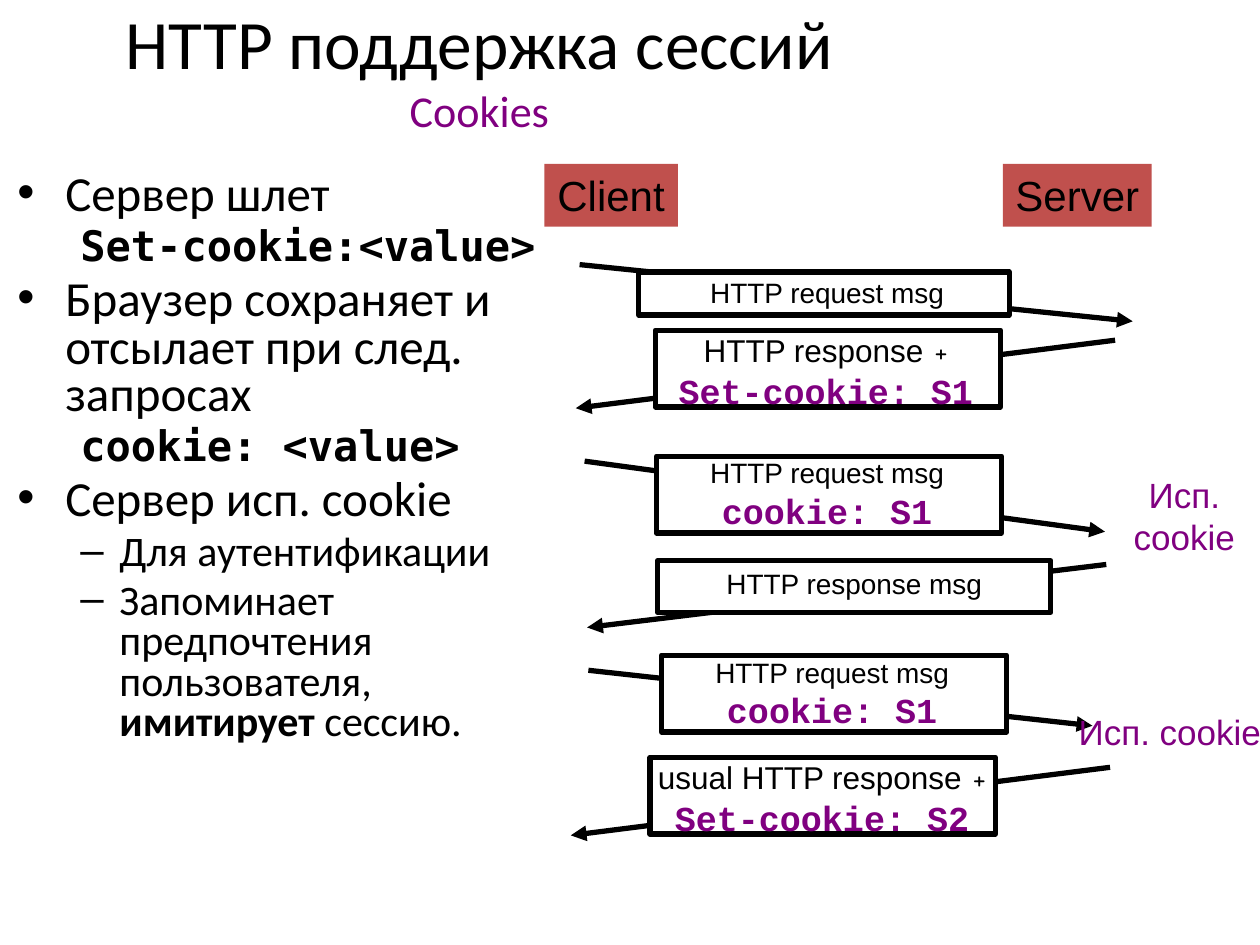
from lxml import etree
from pptx import Presentation
from pptx.dml.color import RGBColor
from pptx.enum.shapes import MSO_CONNECTOR, MSO_SHAPE
from pptx.enum.text import MSO_ANCHOR, MSO_AUTO_SIZE, PP_ALIGN
from pptx.oxml.ns import qn
from pptx.util import Inches, Pt

STRAIGHT, RECTANGLE = MSO_CONNECTOR.STRAIGHT, MSO_SHAPE.RECTANGLE
TOP, MIDDLE = MSO_ANCHOR.TOP, MSO_ANCHOR.MIDDLE
CENTER, LEFT = PP_ALIGN.CENTER, PP_ALIGN.LEFT
GROW, FIXED = MSO_AUTO_SIZE.SHAPE_TO_FIT_TEXT, MSO_AUTO_SIZE.NONE

COLORS = {"ink": "000000", "paper": "FFFFFF", "accent": "800080", "role": "C0504D"}
WIDTH, HEIGHT = 10, 7.5
LINE_WIDTH = 3

# A run is (text, size, font, color, bold)
def plain(text, size=16, font="Arial", color="ink", bold=False):
    return (text, size, font, color, bold)


def header(text):
    return plain(text, 20, "Courier New", "accent", True)


def prose(text, size=28, bold=False):
    return plain(text, size, "Calibri", bold=bold)


def code(text):
    return plain(text, 24, "DejaVu Sans Mono", bold=True)


TITLE = [prose("HTTP поддержка сессий", 39.6), plain("Cookies", 25.2, "Calibri", "accent")]

# level, bullet, runs
POINTS = [
    (0, "•", [prose("Сервер шлет")]),
    (1, None, [code("Set-cookie:<value>")]),
    (0, "•", [prose("Браузер сохраняет и отсылает при след. запросах")]),
    (1, None, [code("cookie: <value>")]),
    (0, "•", [prose("Сервер исп. cookie")]),
    (1, "–", [prose("Для аутентификации", 24)]),
    (1, "–", [prose("Запоминает предпочтения пользователя, ", 24),
              prose("имитирует ", 24, True), prose("сессию.", 24)]),
]
INDENTS = [(0.38, -0.38), (0.81, -0.31)]

REQUEST = [plain("HTTP request msg")]
COOKIE_REQUEST = [REQUEST, [header("cookie: S1")]]


def cookie_response(text, value):
    return [[plain(text, 18), plain(" +", 18, "Comic Neue")],
            [header(f"Set-cookie: {value}")]]


# arrow start, arrow end, frame, caption area (None: text sits in the frame), paragraphs
MESSAGES = [
    ((4.6, 2.1), (8.99, 2.55), (5.07, 2.16, 2.94, 0.34), (5.1, 2.14, 2.93, 0.37), [REQUEST]),
    ((8.85, 2.7), (4.57, 3.24), (5.2, 2.62, 2.74, 0.61), (5.11, 2.58, 2.89, 0.73),
     cookie_response("HTTP response", "S1")),
    ((4.64, 3.66), (8.77, 4.22), (5.21, 3.62, 2.74, 0.61), (5.1, 3.57, 2.93, 0.7),
     COOKIE_REQUEST),
    ((8.78, 4.48), (4.66, 4.98), (5.22, 4.45, 3.12, 0.41), None,
     [[plain("HTTP response msg")]]),
    ((4.67, 5.32), (8.67, 5.76), (5.25, 5.2, 2.74, 0.61), (5.14, 5.15, 2.93, 0.7),
     COOKIE_REQUEST),
    ((8.81, 6.09), (4.53, 6.63), (5.16, 6.01, 2.74, 0.61), (5.08, 5.97, 2.89, 0.78),
     cookie_response("usual HTTP response", "S2")),
]
ROLES = [("Client", (4.32, 1.3, 1.06, 0.5)), ("Server", (7.96, 1.3, 1.18, 0.5))]
COOKIE_NOTES = [((8.66, 3.71, 1.48, 0.77), True), ((8.46, 5.59, 1.65, 0.43), False)]


def rgb(name):
    return RGBColor.from_string(COLORS[name])


def add_run(paragraph, run_spec):
    text, size, font, color, bold = run_spec
    run = paragraph.add_run()
    run.text = text
    run.font.size, run.font.name, run.font.bold = Pt(size), font, bold
    run.font.color.rgb = rgb(color)


def write(frame, paragraphs, align=CENTER, wrap=True, anchor=TOP, fit=GROW):
    """Fill a text frame with paragraphs, each a list of runs; return the paragraphs."""
    frame.word_wrap, frame.vertical_anchor, frame.auto_size = wrap, anchor, fit
    for number, runs in enumerate(paragraphs):
        paragraph = frame.add_paragraph() if number else frame.paragraphs[0]
        paragraph.alignment = align
        for run in runs:
            add_run(paragraph, run)
    return frame.paragraphs


def add_text(slide, area, paragraphs, **options):
    box = slide.shapes.add_textbox(*map(Inches, area))
    return write(box.text_frame, paragraphs, **options)


def add_box(slide, area, fill, outline=None):
    box = slide.shapes.add_shape(RECTANGLE, *map(Inches, area))
    box.shadow.inherit = False
    box.fill.solid()
    box.fill.fore_color.rgb = rgb(fill)
    if outline:
        box.line.color.rgb = rgb(outline)
        box.line.width = Pt(LINE_WIDTH)
    else:
        box.line.fill.background()
    return box


def add_arrow(slide, start, end):
    arrow = slide.shapes.add_connector(STRAIGHT, *map(Inches, start + end))
    arrow.line.color.rgb = rgb("ink")
    arrow.line.width = Pt(LINE_WIDTH)
    etree.SubElement(arrow.line._get_or_add_ln(), qn("a:tailEnd"), type="triangle")
    etree.SubElement(arrow._element.spPr, qn("a:effectLst"))


def set_bullet(paragraph, level, bullet):
    margin, indent = INDENTS[level]
    properties = paragraph._p.get_or_add_pPr()
    properties.set("marL", str(Inches(margin)))
    properties.set("indent", str(Inches(indent)))
    if bullet:
        etree.SubElement(properties, qn("a:buFont"), typeface="Arial")
        etree.SubElement(properties, qn("a:buChar"), char=bullet)
    else:
        etree.SubElement(properties, qn("a:buNone"))


def add_title(slide):
    title = slide.shapes.title
    title.left, title.top, title.width, title.height = map(Inches, (0.06, 0, 7.49, 1.08))
    heading, subtitle = TITLE
    paragraph = write(title.text_frame, [[heading]], anchor=MIDDLE, fit=FIXED)[0]
    paragraph.add_line_break()
    add_run(paragraph, subtitle)


def add_points(slide):
    paragraphs = add_text(slide, (0.04, 1.33, 4.53, 5.74), [runs for _, _, runs in POINTS],
                          align=LEFT, fit=FIXED)
    for number, (paragraph, (level, bullet, runs)) in enumerate(zip(paragraphs, POINTS)):
        paragraph.level = level
        set_bullet(paragraph, level, bullet)
        paragraph.line_spacing = 0.8
        paragraph.space_before = Pt(0.2 * runs[0][1] if number else 0)


def add_message(slide, start, end, frame_area, caption_area, paragraphs):
    add_arrow(slide, start, end)
    frame = add_box(slide, frame_area, "paper", "ink")
    if caption_area:
        add_text(slide, caption_area, paragraphs)
    else:
        write(frame.text_frame, paragraphs)


def main():
    deck = Presentation()
    deck.slide_width, deck.slide_height = Inches(WIDTH), Inches(HEIGHT)
    slide = deck.slides.add_slide(deck.slide_layouts.get_by_name("Title Only"))
    add_title(slide)
    add_points(slide)
    for message in MESSAGES:
        add_message(slide, *message)
    for area, wrap in COOKIE_NOTES:
        add_text(slide, area, [[plain("Исп. cookie", 20, color="accent")]], wrap=wrap)
    for role, area in ROLES:
        write(add_box(slide, area, "role").text_frame, [[plain(role, 24)]], wrap=False)
    deck.save("out.pptx")


if __name__ == "__main__":
    main()
